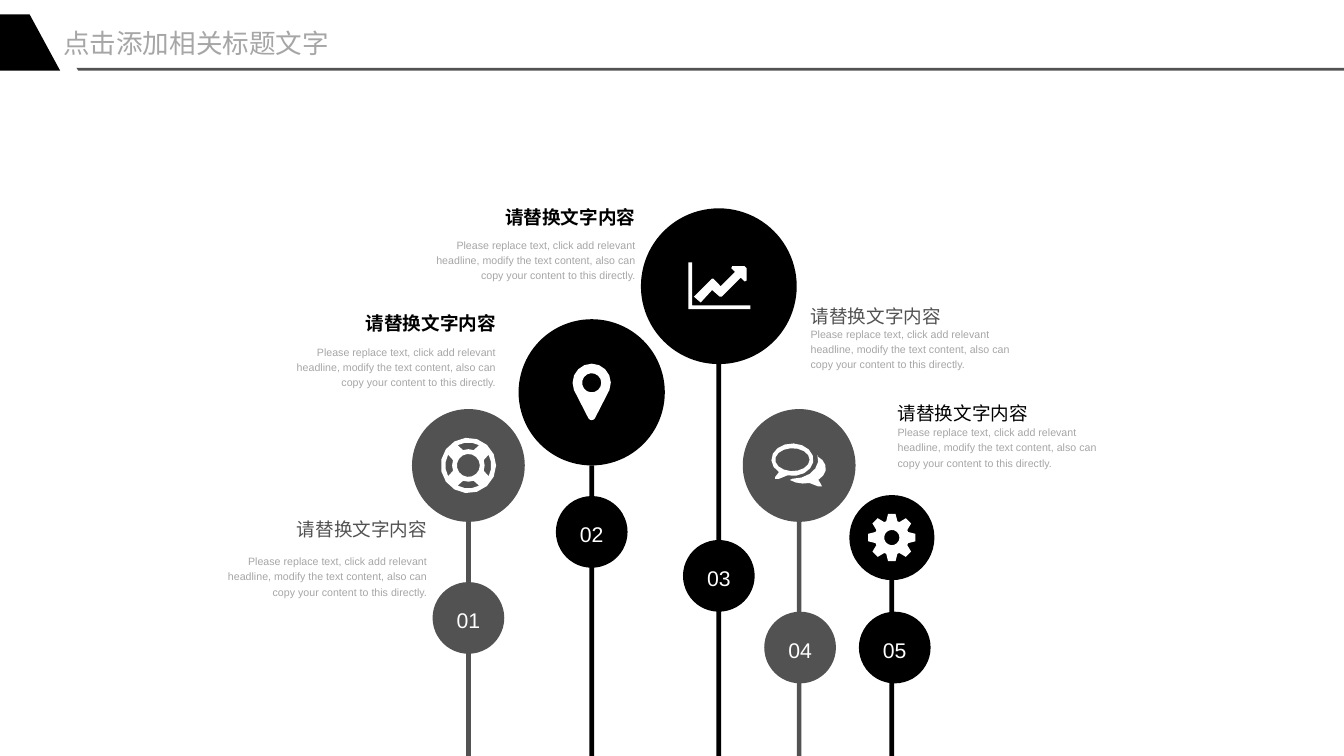
from math import ceil, cos, radians, sin

from pptx import Presentation
from pptx.dml.color import RGBColor
from pptx.enum.shapes import MSO_SHAPE
from pptx.enum.text import MSO_ANCHOR, MSO_AUTO_SIZE, PP_ALIGN
from pptx.util import Inches, Pt

OVAL = MSO_SHAPE.OVAL
RECTANGLE = MSO_SHAPE.RECTANGLE
TOP, MIDDLE = MSO_ANCHOR.TOP, MSO_ANCHOR.MIDDLE
LEFT, CENTER, RIGHT = PP_ALIGN.LEFT, PP_ALIGN.CENTER, PP_ALIGN.RIGHT

BLACK, DARK, GRAY, WHITE = "000000", "525252", "A6A6A6", "FFFFFF"
FONT = "Arial"
PAGE_WIDTH, PAGE_HEIGHT = 14.06, 7.91
STEM_WIDTH, BADGE_SIZE = 0.05, 0.75
HEADING_WIDTH, BODY_WIDTH = 1.54, 2.28
ARC_STEP = 24

TITLE = "点击添加相关标题文字"
HEADING = "请替换文字内容"
BODY = ("Please replace text, click add relevant headline, modify the text "
        "content, also can copy your content to this directly.")

# number, center x, disc top, disc size, badge x shift, badge top, color
PILLARS = [
    ("01", 4.9, 4.28, 1.18, 0, 6.09, DARK),
    ("02", 6.19, 3.34, 1.53, 0, 5.19, BLACK),
    ("03", 7.52, 2.18, 1.63, 0, 5.65, BLACK),
    ("04", 8.36, 4.28, 1.18, 0.01, 6.4, DARK),
    ("05", 9.33, 5.18, 0.89, 0.03, 6.4, BLACK),
]

# text edge x, heading top, body top, alignment, color, bold
CAPTIONS = [
    (4.47, 5.37, 5.78, RIGHT, DARK, False),
    (5.19, 3.22, 3.59, RIGHT, BLACK, True),
    (6.65, 2.11, 2.47, RIGHT, BLACK, True),
    (8.48, 3.14, 3.4, LEFT, DARK, False),
    (9.39, 4.16, 4.43, LEFT, BLACK, False),
]

TITLE_BLOCK = [(0.31, 0.15), (0.63, 0.74), (0, 0.74), (0, 0.15)]
TITLE_RULE = [(0.8, 0.71), (PAGE_WIDTH, 0.71), (PAGE_WIDTH, 0.74), (0.82, 0.74)]

CHART_AXES = [(-0.32, -0.25), (-0.28, -0.25), (-0.28, 0.2), (0.33, 0.2),
              (0.33, 0.24), (-0.32, 0.24)]
CHART_ARROW = [(0.29, -0.06), (0.27, -0.05), (0.23, -0.09), (0.03, 0.11),
               (0.01, 0.11), (-0.07, 0.04), (-0.19, 0.17), (-0.26, 0.11),
               (-0.07, -0.08), (-0.06, -0.08), (0.02, 0), (0.17, -0.15),
               (0.13, -0.19), (0.14, -0.21), (0.27, -0.21), (0.29, -0.19)]


def arc(x, y, radius_x, radius_y, start, end):
    steps = ceil(abs(end - start) / ARC_STEP)
    angles = [radians(start + (end - start) * i / steps) for i in range(steps + 1)]
    return [(x + radius_x * cos(a), y + radius_y * sin(a)) for a in angles]


def oval(radius_x, radius_y, x=0, y=0):
    return arc(x, y, radius_x, radius_y, 0, 360)[:-1]


def lifebuoy():
    gaps = [arc(0, 0, 0.17, 0.17, turn - 19, turn + 19)
            + arc(0, 0, 0.24, 0.24, turn + 28, turn - 28)
            for turn in range(0, 360, 90)]
    return [oval(0.29, 0.29), oval(0.12, 0.12), *gaps]


def pin():
    outline = (arc(0, -0.1, 0.2, 0.2, 158, 382)
               + arc(0, 0.25, 0.04, 0.04, 22, 158))
    return [outline, oval(0.1, 0.1, y=-0.1)]


def chat():
    front = (arc(-0.07, -0.06, 0.22, 0.17, 130, 464)
             + [(-0.21, 0.14), (-0.25, 0.14), (-0.25, 0.12)])
    opening = oval(0.18, 0.12, -0.07, -0.06)
    back = (arc(0.05, 0.03, 0.23, 0.16, -53, 49)
            + [(0.23, 0.2), (0.24, 0.22), (0.2, 0.22)]
            + arc(0.05, 0.03, 0.23, 0.16, 75, 130)
            + arc(-0.07, -0.06, 0.27, 0.2, 90, -14))
    return [front, opening, back]


def gear():
    outline = []
    for turn in range(0, 360, 45):
        for radius, shift in [(0.18, -19), (0.25, -9), (0.25, 9), (0.18, 19)]:
            angle = radians(turn + shift)
            outline.append((radius * cos(angle), radius * sin(angle)))
    return [outline, oval(0.08, 0.08)]


def color_of(value):
    return RGBColor.from_string(value)


def paint(shape, color):
    shape.shadow.inherit = False
    shape.fill.solid()
    shape.fill.fore_color.rgb = color_of(color)
    shape.line.fill.background()


def add_preset(page, kind, left, top, width, height, color):
    shape = page.shapes.add_shape(
        kind, Inches(left), Inches(top), Inches(width), Inches(height))
    paint(shape, color)
    return shape


def add_outline(page, contours, color, x=0, y=0):
    placed = [[(Inches(x + dx), Inches(y + dy)) for dx, dy in contour]
              for contour in contours]
    builder = page.shapes.build_freeform(*placed[0][0], scale=1.0)
    builder.add_line_segments(placed[0][1:], close=True)
    for contour in placed[1:]:
        builder.move_to(*contour[0])
        builder.add_line_segments(contour[1:], close=True)
    paint(builder.convert_to_shape(), color)


def write(shape, text, size, color, align, anchor, bold=False, spacing=1.2):
    frame = shape.text_frame
    frame.text = text
    frame.word_wrap = True
    frame.auto_size = MSO_AUTO_SIZE.NONE
    frame.vertical_anchor = anchor
    frame.margin_left = frame.margin_right = 0
    frame.margin_top = frame.margin_bottom = 0
    para = frame.paragraphs[0]
    para.alignment = align
    para.line_spacing = spacing
    para.space_before = Pt(0)
    font = para.runs[0].font
    font.name, font.size, font.bold = FONT, Pt(size), bold
    font.color.rgb = color_of(color)


def add_text(page, edge, top, width, height, text, size, color, align, bold=False):
    left = edge - width if align == RIGHT else edge
    box = page.shapes.add_textbox(
        Inches(left), Inches(top), Inches(width), Inches(height))
    write(box, text, size, color, align, MIDDLE if align == RIGHT else TOP, bold)


def main():
    deck = Presentation()
    deck.slide_width, deck.slide_height = Inches(PAGE_WIDTH), Inches(PAGE_HEIGHT)
    page = deck.slides.add_slide(deck.slide_layouts[5])

    title = page.shapes.title
    title.left, title.top = Inches(0.66), Inches(0.28)
    title.width, title.height = Inches(3.35), Inches(0.34)
    write(title, TITLE, 20, GRAY, LEFT, TOP, spacing=1.0)
    add_outline(page, [TITLE_RULE], DARK)
    add_outline(page, [TITLE_BLOCK], BLACK)

    icons = [lifebuoy(), pin(), [CHART_AXES, CHART_ARROW], chat(), gear()]
    for pillar, icon in zip(PILLARS, icons):
        number, center, top, size, shift, badge_top, color = pillar
        stem_top = top + size
        add_preset(page, RECTANGLE, center - STEM_WIDTH / 2, stem_top,
                   STEM_WIDTH, PAGE_HEIGHT - stem_top, color)
        add_preset(page, OVAL, center - size / 2, top, size, size, color)
        add_outline(page, icon, WHITE, center, top + size / 2)
        badge = add_preset(page, OVAL, center + shift - BADGE_SIZE / 2, badge_top,
                           BADGE_SIZE, BADGE_SIZE, color)
        write(badge, number, 16, WHITE, CENTER, MIDDLE)

    for edge, heading_top, body_top, align, color, bold in CAPTIONS:
        add_text(page, edge, heading_top, HEADING_WIDTH, 0.28,
                 HEADING, 14, color, align, bold)
        add_text(page, edge, body_top, BODY_WIDTH, 0.48, BODY, 8, GRAY, align)

    deck.save("out.pptx")


if __name__ == "__main__":
    main()
